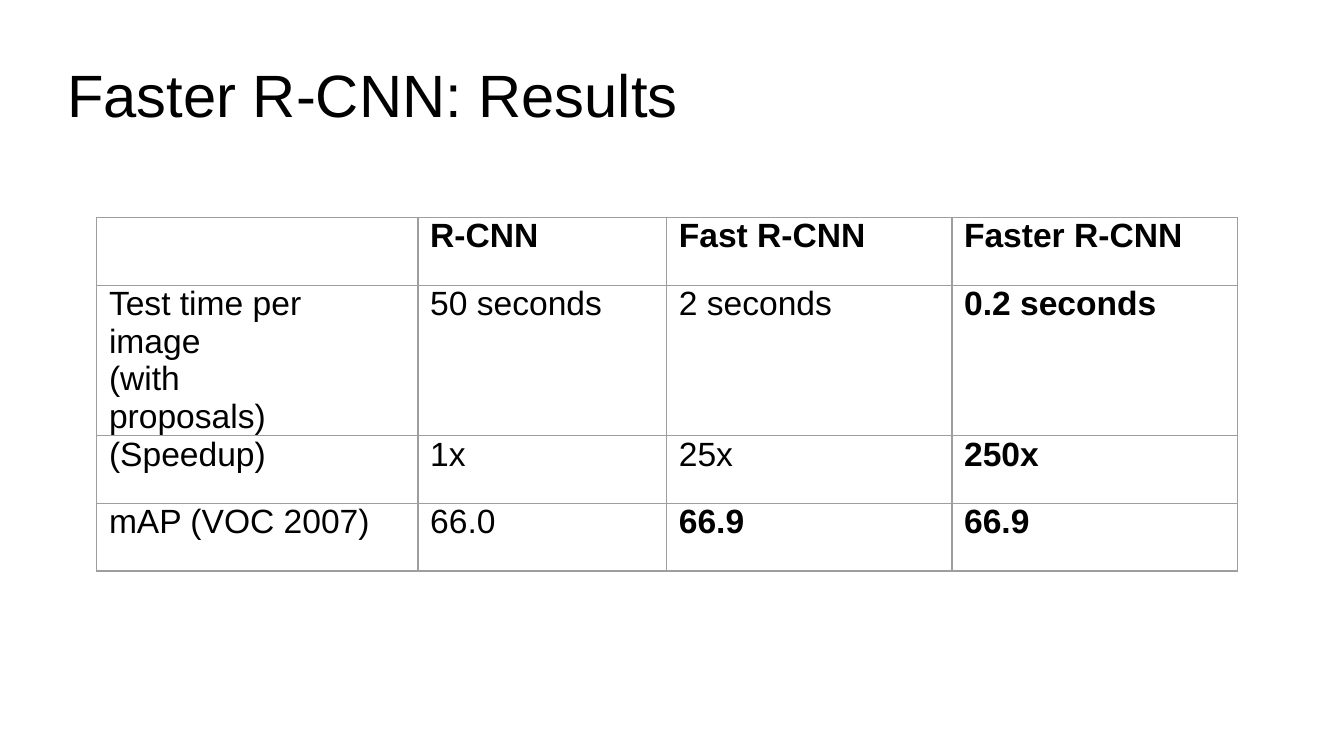
from dataclasses import dataclass
from lxml.etree import SubElement as Sub
from pptx import Presentation
from pptx.dml.color import RGBColor as Rgb
from pptx.enum.text import MSO_ANCHOR as Anchor, PP_ALIGN as Align
from pptx.oxml.ns import qn
from pptx.util import Cm, Pt


@dataclass
class Theme:
    face: str = "Arial"
    ink: str = "000000"
    rule: str = "9E9E9E"
    line: float = 0.75
    head: int = 32
    body: int = 18


theme = Theme()


def style(para, size, bold=False):
    para.alignment = Align.LEFT
    for run in para.runs:
        font = run.font
        font.name = theme.face
        font.size = Pt(size)
        font.bold = bold
        font.color.rgb = Rgb.from_string(theme.ink)


def border(cell):
    props = cell._tc.get_or_add_tcPr()
    for at, side in enumerate(("lnL", "lnR", "lnT", "lnB")):
        line = props.makeelement(qn(f"a:{side}"), {"w": str(Pt(theme.line))})
        fill = Sub(line, qn("a:solidFill"))
        Sub(fill, qn("a:srgbClr"), val=theme.rule)
        props.insert(at, line)


deck = Presentation()
deck.slide_width, deck.slide_height = Cm(25.4), Cm(14.29)
slide = deck.slides.add_slide(deck.slide_layouts[5])

title = slide.shapes.title
title.left, title.top = Cm(1.27), Cm(0.58)
title.width, title.height = Cm(22.86), Cm(2.39)
frame = title.text_frame
frame.text = "Faster R-CNN: Results"
frame.vertical_anchor = Anchor.MIDDLE
frame.margin_left = frame.margin_right = frame.margin_top = frame.margin_bottom = 0
style(frame.paragraphs[0], theme.head)

rows = [
    ["", "R-CNN", "Fast R-CNN", "Faster R-CNN"],
    ["Test time per image\n(with proposals)", "50 seconds", "2 seconds", "0.2 seconds"],
    ["(Speedup)", "1x", "25x", "250x"],
    ["mAP (VOC 2007)", "66.0", "66.9", "66.9"],
]
best = {(1, 3), (2, 3), (3, 2), (3, 3)}
wide = [6.07, 4.7, 5.39, 5.39]
high = [1.28, 2.82, 1.28, 1.28]

table = slide.shapes.add_table(
    len(rows), len(wide), Cm(1.83), Cm(4.11), Cm(sum(wide)), Cm(sum(high))
).table
table.first_row = table.horz_banding = False
for col, width in zip(table.columns, wide):
    col.width = Cm(width)
for row, height in zip(table.rows, high):
    row.height = Cm(height)

for r, row in enumerate(rows):
    for c, text in enumerate(row):
        cell = table.cell(r, c)
        cell.fill.background()
        border(cell)
        cell.margin_left = Cm(0.23)
        cell.margin_right = cell.margin_top = cell.margin_bottom = 0
        cell.text_frame.text = text
        for para in cell.text_frame.paragraphs:
            style(para, theme.body, r == 0 or (r, c) in best)

table.cell(1, 0).margin_right = Cm(1.8)

deck.save("out.pptx")
